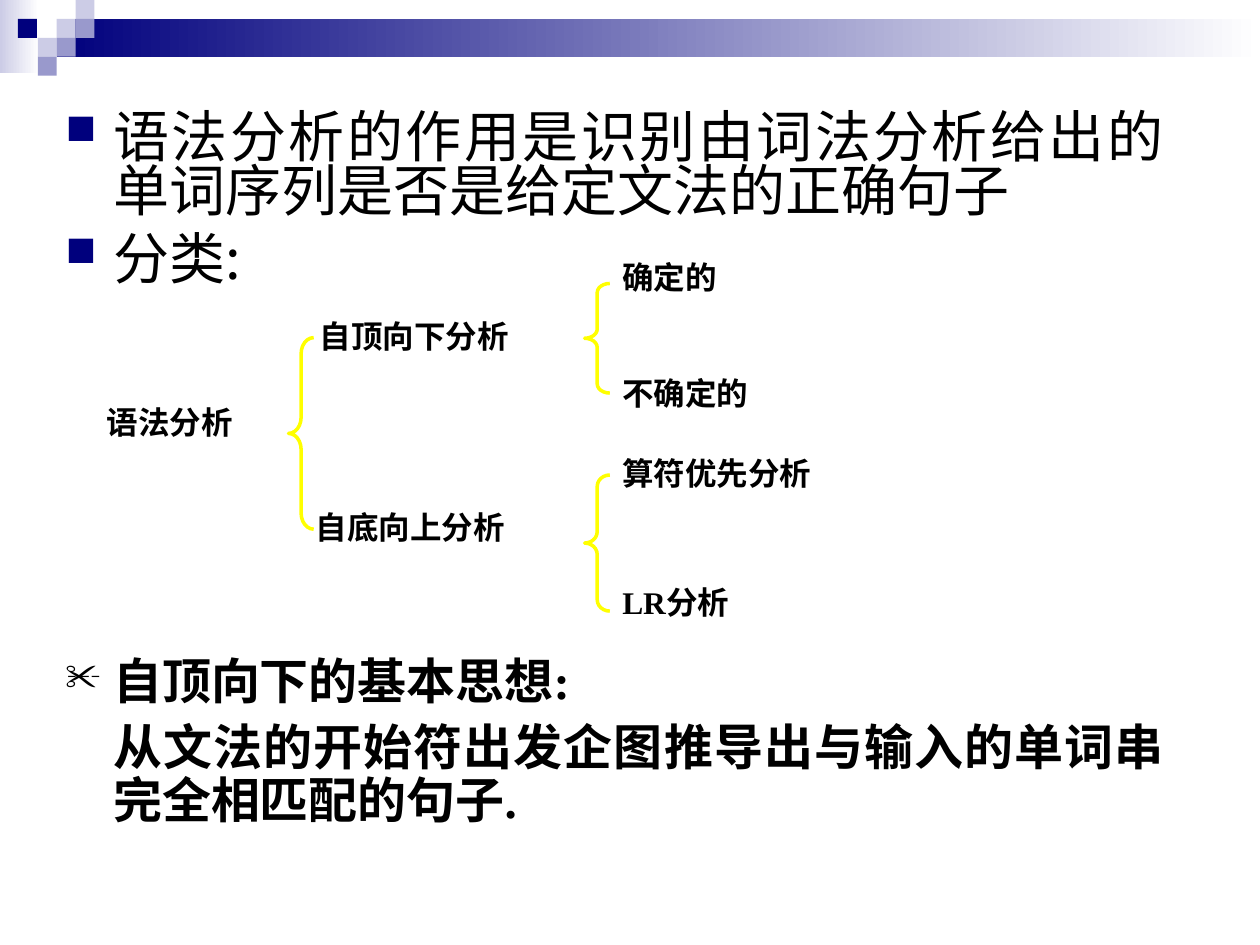
from lxml.etree import SubElement
from pptx import Presentation
from pptx.dml.color import RGBColor
from pptx.enum.shapes import MSO_SHAPE
from pptx.enum.text import PP_ALIGN
from pptx.oxml.ns import qn
from pptx.util import Inches, Pt

CELL = Inches(0.1)
COLS, ROWS = 100, 75
TILE = 1.5
SANS, SERIF = "Noto Sans CJK SC", "Times New Roman"
NAVY, LILAC, MID, WHITE = "00007D", "CCCCE6", "9999CC", "FFFFFF"
BLACK, YELLOW = "000000", "FFFF00"


def rgb(code):
    """Turn a hex string into a colour."""
    return RGBColor.from_string(code)


def place(*cells):
    """Turn grid columns and rows into lengths."""
    return [round(n * CELL) for n in cells]


def block(slide, at, *shades):
    """Draw a plain rectangle, or a left-to-right blend of two shades."""
    shape = slide.shapes.add_shape(MSO_SHAPE.RECTANGLE, *place(*at))
    shape.shadow.inherit = False
    shape.line.fill.background()
    if len(shades) == 1:
        shape.fill.solid()
        shape.fill.fore_color.rgb = rgb(shades[0])
        return
    shape.fill.gradient()
    shape.fill.gradient_angle = 0
    for spot, (stop, shade) in enumerate(zip(shape.fill.gradient_stops, shades)):
        stop.position = spot
        stop.color.rgb = rgb(shade)


def brace(slide, left, top, height, width=2):
    """Draw a yellow left brace whose curves take a twelfth of its height."""
    shape = slide.shapes.add_shape(
        MSO_SHAPE.LEFT_BRACE, *place(left, top, width, height))
    shape.shadow.inherit = False
    shape.fill.background()
    shape.line.color.rgb = rgb(YELLOW)
    shape.line.width = Pt(2)
    shape.adjustments[0] = height / 12 / width


def frame(slide, at):
    """Add an empty wrapping text box and return its text frame."""
    text = slide.shapes.add_textbox(*place(*at)).text_frame
    text.word_wrap = True
    return text


def write(text, words, size=18, font=SERIF, bold=True, mark=None,
          shade=BLACK, inset=0, space=None, gap=0):
    """Write one justified paragraph with its format and bullet."""
    first = not text.paragraphs[0].runs
    para = text.paragraphs[0] if first else text.add_paragraph()
    para.alignment = PP_ALIGN.JUSTIFY
    if space:
        para.line_spacing = space
    para.space_before = Pt(0 if first else gap)
    props = para._p.get_or_add_pPr()
    props.set("marL", str(Inches(inset)))
    props.set("indent", str(-Inches(inset) if mark else 0))
    if mark:
        tint = SubElement(props, qn("a:buClr"))
        SubElement(tint, qn("a:srgbClr"), val=shade)
        SubElement(props, qn("a:buSzPct"), val="75000")
        SubElement(props, qn("a:buChar"), char=mark)
    run = para.add_run()
    run.text = words
    run.font.size = Pt(size)
    run.font.name = font
    run.font.bold = bold
    run.font.color.rgb = rgb(BLACK)
    SubElement(run._r.get_or_add_rPr(), qn("a:ea"), typeface=SANS)


def header(slide):
    """Draw the blended bar and the tiles at the top left."""
    block(slide, (0, 0, 3.1, 5.8), LILAC, WHITE)
    block(slide, (3 * TILE, TILE, COLS - 3 * TILE, 2 * TILE), NAVY, WHITE)
    tiles = [(3, 1, LILAC), (4, 0, LILAC), (4, 1, MID), (2, 2, LILAC),
             (0.95, 1, NAVY), (3, 2, MID), (2, 3, MID)]
    for col, row, shade in tiles:
        block(slide, (col * TILE, row * TILE, TILE, TILE), shade)


def tree(slide):
    """Draw the braces and labels of the classification."""
    for spot in [(22.9, 26.8, 15.2), (46.4, 22.5, 8.7), (46.4, 37.7, 10.8)]:
        brace(slide, *spot)
    labels = [("语法分析", 7.5, 31.5, 17.5),
              ("自顶向下分析", 24.4, 24.7, 23.9),
              ("自底向上分析", 24.1, 39.8, 27.6),
              ("确定的", 48.4, 20, 20.3),
              ("不确定的", 48.4, 29.2, 20.3),
              ("算符优先分析", 48.4, 35.5, 39.9),
              ("LR分析", 48.4, 45.8, 34.9)]
    for words, left, top, width in labels:
        write(frame(slide, (left, top, width, 6.5)), words)


def main():
    """Build the slide and save it."""
    deck = Presentation()
    deck.slide_width, deck.slide_height = place(COLS, ROWS)
    slide = deck.slides.add_slide(deck.slide_layouts[6])
    header(slide)
    role = frame(slide, (4.2, 8.6, 89.2, 15.8))
    for words in ["语法分析的作用是识别由词法分析给出的单词序列是否是给定文法的正确句子",
                  "分类:"]:
        write(role, words, size=32, font=SANS, bold=False, mark="■",
              shade=NAVY, inset=0.38, space=0.8, gap=8)
    tree(slide)
    idea = frame(slide, (4.2, 51.7, 89.2, 15.8))
    for words, mark in [("自顶向下的基本思想:", "✂"),
                        ("从文法的开始符出发企图推导出与输入的单词串完全相匹配的句子.", None)]:
        write(idea, words, size=28, mark=mark, inset=0.38, space=0.9, gap=7)
    deck.save("out.pptx")


if __name__ == "__main__":
    main()
